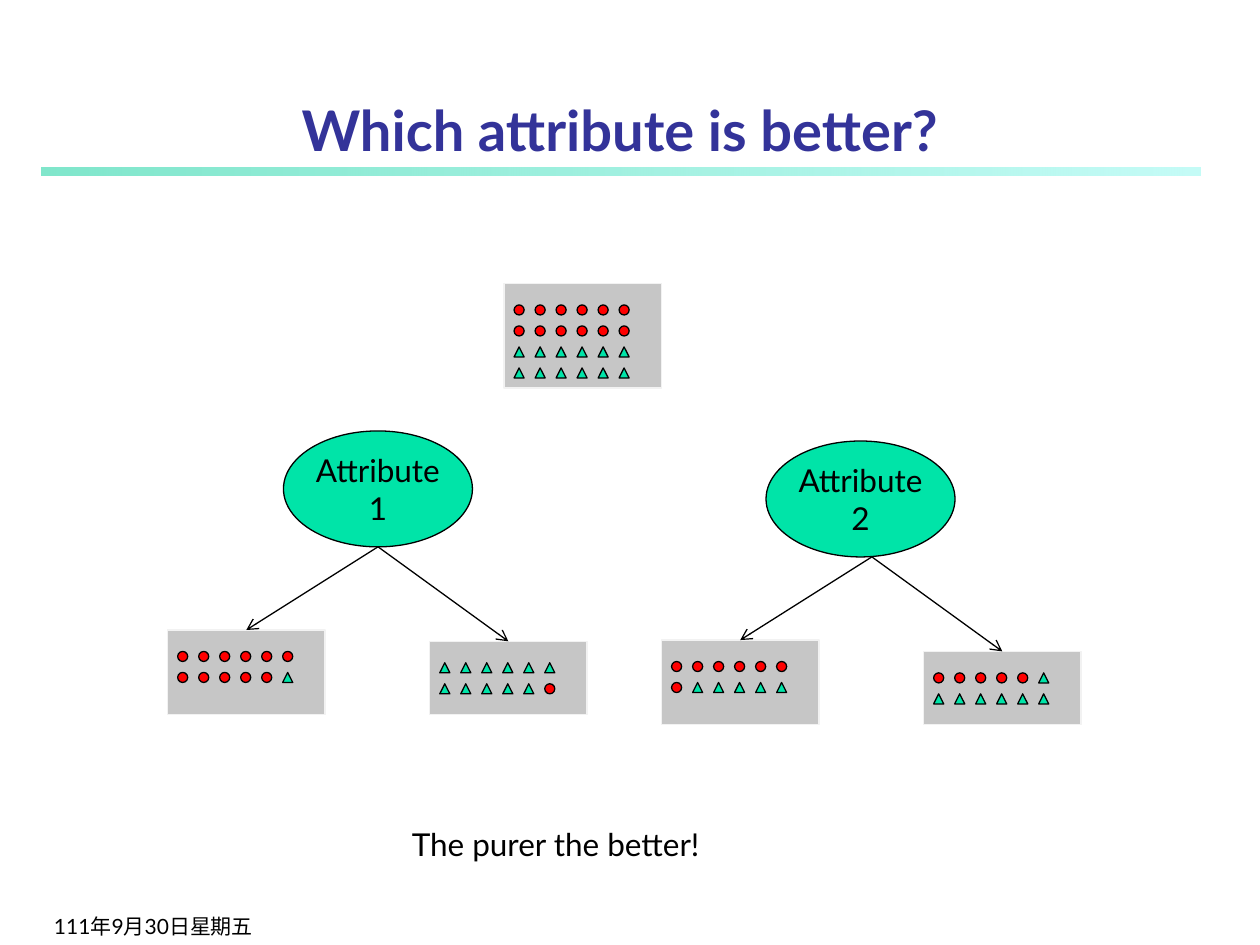
from lxml import etree
from pptx import Presentation
from pptx.dml.color import RGBColor
from pptx.enum import shapes, text
from pptx.oxml import ns
from pptx.util import Inches, Pt

COLORS = {
    "title": "333399",
    "ink": "000000",
    "circle": "FF0000",
    "triangle": "00E4A8",
    "panel": "C6C6C6",
    "panel_edge": "F2F2F2",
    "rule_start": "00CE98",
    "rule_end": "8FF9EF",
}
FONT = "Lato"
MARK = 0.08
PITCH = 1 / 6
SHAPE = shapes.MSO_SHAPE
MARKS = {"o": (SHAPE.OVAL, "circle"), "^": (SHAPE.ISOSCELES_TRIANGLE, "triangle")}


def color(name):
    return RGBColor.from_string(COLORS[name])


def add_filled(s, kind, box, fill, line):
    sp = s.shapes.add_shape(kind, *map(Inches, box))
    sp.shadow.inherit = False
    sp.fill.solid()
    sp.fill.fore_color.rgb = color(fill)
    sp.line.color.rgb = color(line)
    sp.line.width = Pt(0.75)
    return sp


def write(sp, words, size, ink="ink", bold=False, align=None, anchor=None, wrap=True):
    tf = sp.text_frame
    tf.text = words
    tf.word_wrap = wrap
    tf.vertical_anchor = anchor
    for p in tf.paragraphs:
        p.alignment = align
        for r in p.runs:
            r.font.name = FONT
            r.font.size = Pt(size)
            r.font.bold = bold
            r.font.color.rgb = color(ink)


def add_label(s, box, words, size, **style):
    write(s.shapes.add_textbox(*map(Inches, box)), words, size, **style)


def add_header(s, left, top, width):
    add_label(s, (left + 0.09, top, 9, 1.17), "Which attribute is better?", 32,
              ink="title", bold=True, align=text.PP_ALIGN.CENTER,
              anchor=text.MSO_ANCHOR.BOTTOM)
    rule = s.shapes.add_shape(
        SHAPE.RECTANGLE, *map(Inches, (left, top + 1.16, width, 0.06)))
    rule.shadow.inherit = False
    rule.line.fill.background()
    rule.fill.gradient()
    rule.fill.gradient_angle = 0
    stops = zip(rule.fill.gradient_stops, ("rule_start", "rule_end"))
    for stop, name in stops:
        stop.color.rgb = color(name)
    for tint, alpha in zip(rule._element.spPr.iter(ns.qn("a:srgbClr")), (50000, 52000)):
        for old in list(tint):
            tint.remove(old)
        etree.SubElement(tint, ns.qn("a:alpha"), val=str(alpha))


def add_sample(s, left, top, height, rows):
    panel = add_filled(s, SHAPE.RECTANGLE, (left, top, 1.25, height),
                       "panel", "panel_edge")
    for i, row in enumerate(rows):
        for j, mark in enumerate(row):
            kind, fill = MARKS[mark]
            box = (left + 0.08 + j * PITCH, top + 0.17 + i * PITCH, MARK, MARK)
            add_filled(s, kind, box, fill, "ink")
    return panel


def add_arrow(s, x, y, panel):
    c = s.shapes.add_connector(
        shapes.MSO_CONNECTOR.STRAIGHT, Inches(x), Inches(y), Inches(x), Inches(y))
    c.end_connect(panel, 0)
    c.line.color.rgb = color("ink")
    c.line.width = Pt(0.75)
    etree.SubElement(c.line._get_or_add_ln(), ns.qn("a:tailEnd"), type="arrow")
    etree.SubElement(c._element.spPr, ns.qn("a:effectLst"))


def add_split(s, left, top, name, node_x, left_rows, right_rows):
    node = add_filled(s, SHAPE.OVAL, (left + node_x, top, 1.5, 0.92),
                      "triangle", "ink")
    write(node, name, 18, align=text.PP_ALIGN.CENTER,
          anchor=text.MSO_ANCHOR.MIDDLE, wrap=False)
    branches = (
        add_sample(s, left, top + 1.58, 0.67, left_rows),
        add_sample(s, left + 2.08, top + 1.67, 0.58, right_rows),
    )
    for panel in branches:
        add_arrow(s, left + 1.67, top + 0.92, panel)


def main():
    prs = Presentation()
    prs.slide_width, prs.slide_height = Inches(10), Inches(7.5)
    s = prs.slides.add_slide(prs.slide_layouts[6])
    add_header(s, 0.33, 0.17, 9.2)
    add_sample(s, 4, 2.25, 0.83, ["oooooo", "oooooo", "^^^^^^", "^^^^^^"])
    add_split(s, 1.33, 3.42, "Attribute\n1", 0.92,
              ["oooooo", "ooooo^"], ["^^^^^^", "^^^^^o"])
    add_split(s, 5.25, 3.5, "Attribute\n2", 0.83,
              ["oooooo", "o^^^^^"], ["ooooo^", "^^^^^^"])
    add_label(s, (3.17, 6.5, 2.56, 0.4), "The purer the better!", 18, wrap=False)
    add_label(s, (0.33, 7.08, 2.08, 0.42), "111年9月30日星期五", 12,
              anchor=text.MSO_ANCHOR.BOTTOM)
    prs.save("out.pptx")


if __name__ == "__main__":
    main()
